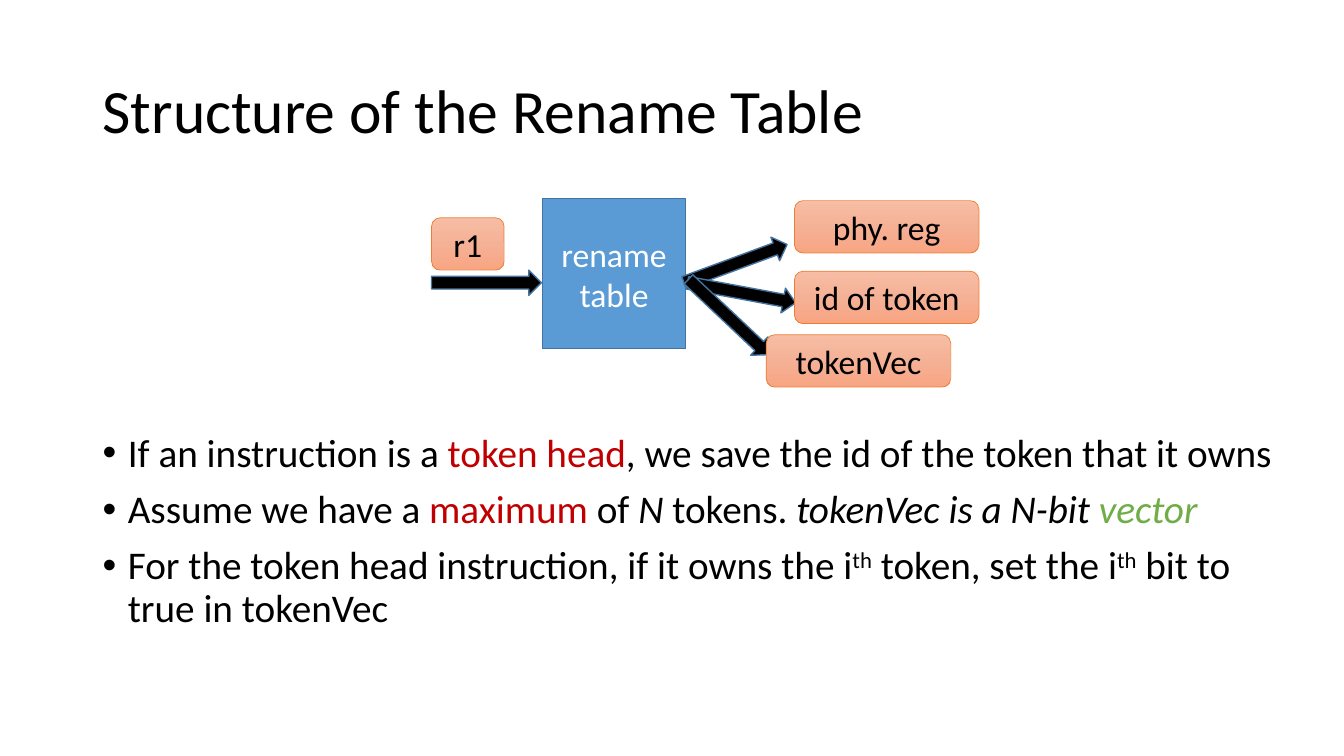
from copy import deepcopy

from lxml.etree import SubElement
from pptx import Presentation
from pptx.dml.color import RGBColor
from pptx.enum.shapes import MSO_SHAPE
from pptx.enum.text import MSO_ANCHOR, PP_ALIGN
from pptx.oxml.ns import qn
from pptx.util import Inches, Pt

COLORS = {
    "text": "000000", "white": "FFFFFF", "red": "C00000", "green": "70AD47",
    "table": "5B9BD5", "outline": "43739E", "label_line": "ED7D31",
}
LABEL_GRADIENT = [(0, "F7BDA5"), (0.5, "F5B196"), (1, "F8A582")]
FONT = "Calibri"
LABEL_HEIGHT = 0.52
ARROW_SIZE = (1.09, 0.25)

# Each run is its text, colour name and style
BULLETS = [
    [("If an instruction is a ", "text", ""), ("token head", "red", ""),
     (", we save the id of the token that it owns", "text", "")],
    [("Assume we have a ", "text", ""), ("maximum", "red", ""),
     (" of ", "text", ""), ("N", "text", "italic"), (" tokens. ", "text", ""),
     ("tokenVec is a N-bit ", "text", "italic"), ("vector", "green", "italic")],
    [("For the token head instruction, if it owns the i", "text", ""),
     ("th", "text", "superscript"), (" token, set the i", "text", ""),
     ("th", "text", "superscript"), (" bit to true in tokenVec", "text", "")],
]

# Offsets from the diagram's corner: arrow and its rotation, label and its text
OUTPUTS = [
    ((2.47, 0.52), -20.3, (3.6, 0.02), "phy. reg"),
    ((2.53, 0.81), 10.5, (3.6, 0.72), "id of token"),
    ((2.4, 1.05), 43.3, (3.32, 1.35), "tokenVec"),
]


def rgb(name):
    return RGBColor.from_string(COLORS[name])


def style_run(run, size, color):
    run.font.name = FONT
    run.font.size = Pt(size)
    run.font.color.rgb = rgb(color)


def add_box(slide, preset, left, top, width, height, line, line_width):
    shape = slide.shapes.add_shape(
        preset, Inches(left), Inches(top), Inches(width), Inches(height))
    shape.shadow.inherit = False
    shape.line.color.rgb = rgb(line)
    shape.line.width = Pt(line_width)
    return shape


def set_centred_text(shape, text, color):
    text_frame = shape.text_frame
    text_frame.text = text
    text_frame.word_wrap = True
    text_frame.vertical_anchor = MSO_ANCHOR.MIDDLE
    for paragraph in text_frame.paragraphs:
        paragraph.alignment = PP_ALIGN.CENTER
        style_run(paragraph.runs[0], 24, color)


def add_label(slide, left, top, width, text):
    label = add_box(slide, MSO_SHAPE.ROUNDED_RECTANGLE,
                    left, top, width, LABEL_HEIGHT, "label_line", 0.5)
    label.fill.gradient()
    label.fill.gradient_angle = 270
    stop_list = label._element.spPr.find(".//" + qn("a:gsLst"))
    stop_list.insert(1, deepcopy(stop_list[0]))
    for stop, (position, color) in zip(label.fill.gradient_stops, LABEL_GRADIENT):
        stop.position = position
        stop.color.rgb = RGBColor.from_string(color)
    set_centred_text(label, text, "text")


def add_arrow(slide, left, top, rotation=0):
    arrow = add_box(slide, MSO_SHAPE.RIGHT_ARROW, left, top, *ARROW_SIZE, "outline", 1)
    arrow.fill.solid()
    arrow.fill.fore_color.rgb = rgb("text")
    arrow.rotation = rotation


def add_text_box(slide, left, top, width, height):
    box = slide.shapes.add_textbox(
        Inches(left), Inches(top), Inches(width), Inches(height))
    box.text_frame.word_wrap = True
    return box.text_frame


def add_title(slide, left, top, width, height):
    text_frame = add_text_box(slide, left, top, width, height)
    text_frame.vertical_anchor = MSO_ANCHOR.MIDDLE
    text_frame.text = "Structure of the Rename Table"
    paragraph = text_frame.paragraphs[0]
    paragraph.line_spacing = 0.9
    style_run(paragraph.runs[0], 44, "text")


def add_bullets(slide, left, top, width, height):
    text_frame = add_text_box(slide, left, top, width, height)
    for index, runs in enumerate(BULLETS):
        paragraph = text_frame.add_paragraph() if index else text_frame.paragraphs[0]
        paragraph.line_spacing = 0.9
        if index:
            paragraph.space_before = Pt(10)
        properties = paragraph._p.get_or_add_pPr()
        properties.set("marL", str(Inches(0.25)))
        properties.set("indent", str(-Inches(0.25)))
        SubElement(properties, qn("a:buFont"), typeface="Arial")
        SubElement(properties, qn("a:buChar"), char="•")
        for text, color, style in runs:
            run = paragraph.add_run()
            run.text = text
            style_run(run, 28, color)
            if style == "italic":
                run.font.italic = True
            elif style == "superscript":
                run._r.get_or_add_rPr().set("baseline", "30000")


def add_diagram(slide, left, top):
    # Rename table
    table = add_box(slide, MSO_SHAPE.RECTANGLE,
                    left + 1.1, top, 1.42, 1.49, "outline", 1)
    table.fill.solid()
    table.fill.fore_color.rgb = rgb("table")
    set_centred_text(table, "rename\ntable", "white")

    # Input register
    add_arrow(slide, left, top + 0.71)
    add_label(slide, left, top + 0.19, 0.72, "r1")

    # Outputs
    for (arrow_x, arrow_y), rotation, (label_x, label_y), text in OUTPUTS:
        add_arrow(slide, left + arrow_x, top + arrow_y, rotation)
        add_label(slide, left + label_x, top + label_y, 1.83, text)


def main():
    presentation = Presentation()
    presentation.slide_width = Inches(13.33)
    presentation.slide_height = Inches(7.5)
    slide = presentation.slides.add_slide(presentation.slide_layouts[6])
    add_title(slide, 0.92, 0.4, 11.5, 1.45)
    add_bullets(slide, 0.92, 4.25, 11.96, 2.5)
    add_diagram(slide, 4.28, 1.97)
    presentation.save("out.pptx")


if __name__ == "__main__":
    main()
